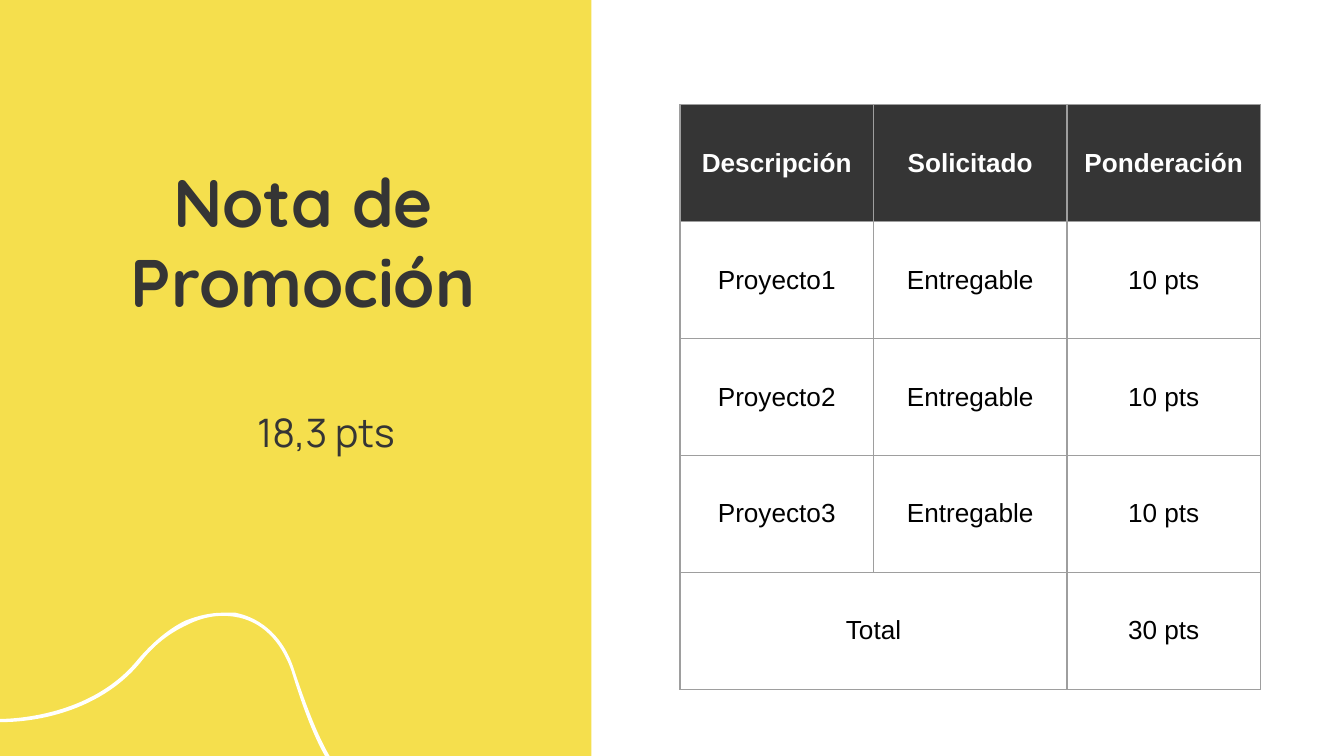
import pptx
import pptx.dml.color
import pptx.enum.shapes
import pptx.enum.text
import pptx.oxml.ns
import pptx.util
from lxml import etree

Inches, Pt, qn = pptx.util.Inches, pptx.util.Pt, pptx.oxml.ns.qn
COLORS = {"yellow": "F5DF4D", "dark": "353535", "white": "FFFFFF",
          "black": "000000", "border": "9E9E9E"}


def rgb(name):
    return pptx.dml.color.RGBColor.from_string(COLORS[name])


def format_text(tf, font, size, color, bold=False):
    """Centre the frame's text and style its runs, with 0.1 inch margins."""
    tf.word_wrap = True
    tf.margin_left = tf.margin_right = tf.margin_top = tf.margin_bottom = Inches(0.1)
    for p in tf.paragraphs:
        p.alignment = pptx.enum.text.PP_ALIGN.CENTER
        for r in p.runs:
            r.font.name, r.font.size, r.font.bold = font, Pt(size), bold
            r.font.color.rgb = rgb(color)


prs = pptx.Presentation()
prs.slide_width = Inches(10)
prs.slide_height = prs.slide_width * 9 // 16
s = prs.slides.add_slide(prs.slide_layouts[6])
s.background.fill.solid()
s.background.fill.fore_color.rgb = rgb("white")

# Yellow panel
panel = s.shapes.add_shape(pptx.enum.shapes.MSO_SHAPE.RECTANGLE,
                           Inches(-0.01), 0, Inches(4.41), prs.slide_height)
panel.shadow.inherit = False
panel.fill.solid()
panel.fill.fore_color.rgb = rgb("yellow")
panel.line.fill.background()

# White wave: a thin closed outline; three points make a curve, one a line
start = (1.66, 4.57)
segments = [
    [(1.57, 4.57), (1.48, 4.59), (1.38, 4.63)],
    [(1.26, 4.69), (1.14, 4.79), (1.03, 4.92)],
    [(0.72, 5.3), (0.19, 5.37), (-0.07, 5.36)],
    [(0.19, 5.38), (0.72, 5.31), (1.04, 4.92)],
    [(1.14, 4.79), (1.26, 4.7), (1.39, 4.64)],
    [(1.51, 4.58), (1.63, 4.56), (1.75, 4.58)],
    [(1.95, 4.61), (2.1, 4.76), (2.18, 4.99)],
    [(2.29, 5.35), (2.39, 5.58), (2.48, 5.7)],
    [(2.49, 5.7)],
    [(2.4, 5.58), (2.3, 5.35), (2.18, 4.99)],
    [(2.11, 4.76), (1.95, 4.61), (1.75, 4.57)],
    [(1.72, 4.57), (1.69, 4.57), (1.66, 4.57)],
]
builder = s.shapes.build_freeform(*map(Inches, start))
builder.add_line_segments([tuple(map(Inches, point)) for seg in segments for point in seg])
wave = builder.convert_to_shape()
lines = iter(list(wave._element.iter(qn("a:lnTo"))))
for seg in segments:
    first, *others = [next(lines) for _ in seg]
    if others:
        first.tag = qn("a:cubicBezTo")
        for line in others:
            first.append(line[0])
            line.getparent().remove(line)
wave.shadow.inherit = False
wave.fill.solid()
wave.fill.fore_color.rgb = rgb("white")
wave.line.color.rgb = rgb("white")
wave.line.width = Pt(1.5)

# Score and title
for text, box, font, size, bold, after in [
    ("18,3 pts", (0.78, 2.94, 3.29, 1.39), "Manrope", 21, False, 16),
    ("Nota de Promoción", (0.78, 1.09, 2.95, 1.15), "Quicksand", 36, True, 0),
]:
    tf = s.shapes.add_textbox(*map(Inches, box)).text_frame
    tf.text = text
    format_text(tf, font, size, "dark", bold)
    tf.paragraphs[0].space_after = Pt(after)

# Grading table
rows = [["Descripción", "Solicitado", "Ponderación"]]
rows += [[f"Proyecto{n}", "Entregable", "10 pts"] for n in (1, 2, 3)]
rows += [["Total", "", "30 pts"]]
COL_W, ROW_H = Inches(1.44), Inches(0.87)
table = s.shapes.add_table(len(rows), 3, Inches(5.06), Inches(0.78),
                           3 * COL_W, len(rows) * ROW_H).table
for column in table.columns:
    column.width = COL_W
for row in table.rows:
    row.height = ROW_H
table.cell(4, 0).merge(table.cell(4, 1))

for i, row in enumerate(rows):
    header = i == 0
    for j, text in enumerate(row):
        cell = table.cell(i, j)
        cell.text = text
        cell.vertical_anchor = pptx.enum.text.MSO_ANCHOR.MIDDLE
        format_text(cell.text_frame, "Arial", 14, "white" if header else "black", header)
        tcPr = cell._tc.get_or_add_tcPr()
        for side in ("lnL", "lnR", "lnT", "lnB"):
            ln = etree.SubElement(tcPr, qn(f"a:{side}"), w=str(Pt(0.75)))
            fill = etree.SubElement(ln, qn("a:solidFill"))
            etree.SubElement(fill, qn("a:srgbClr"), val=COLORS["border"])
        if header:
            cell.fill.solid()
            cell.fill.fore_color.rgb = rgb("dark")
        else:
            cell.fill.background()

prs.save("out.pptx")
